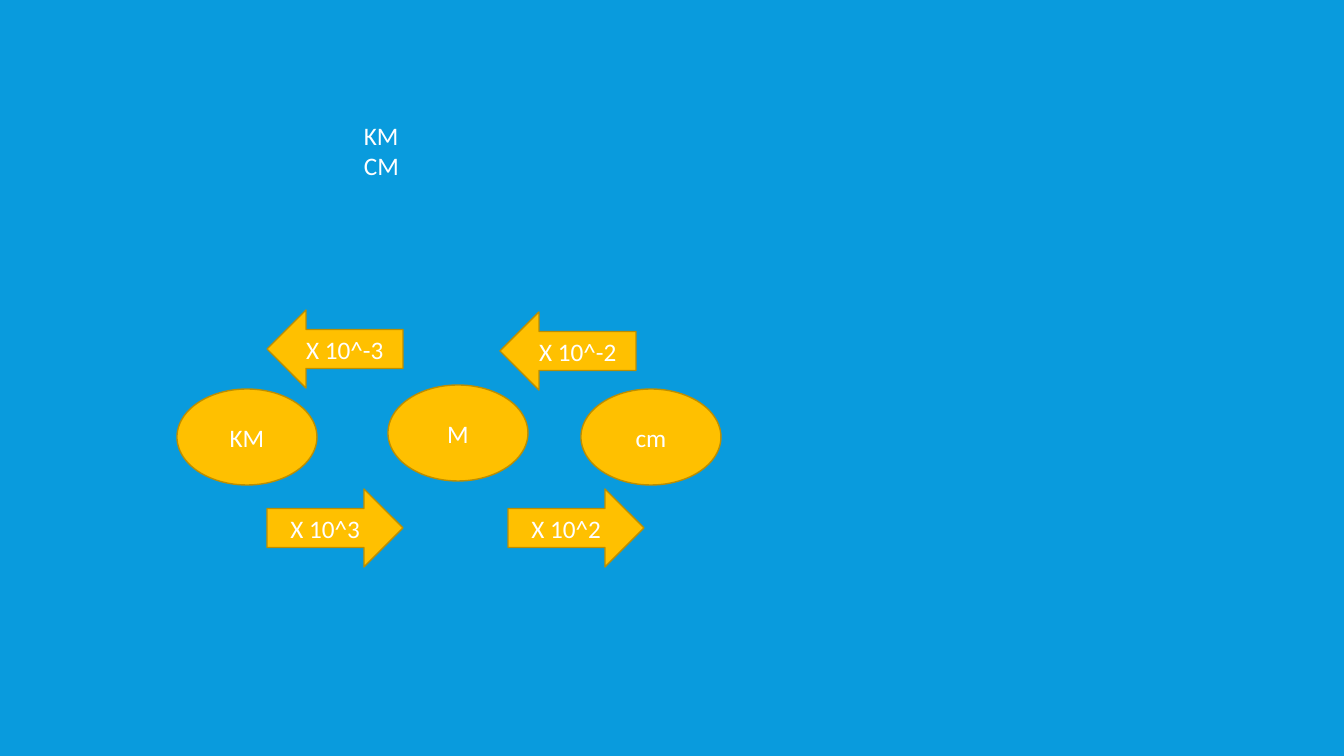
import pptx
import pptx.util
import pptx.dml.color
import pptx.enum.shapes
import pptx.enum.text

HUES = {"back": "099BDD", "fill": "FFC000", "edge": "BD8E00", "text": "FFFFFF"}
NOTE = ("KM\nCM", 354, 115, 533, 72)
KIND = pptx.enum.shapes.MSO_SHAPE
GROUPS = [
    (KIND.OVAL, (140, 96), [("KM", 177, 389), ("cm", 581, 389), ("M", 388, 385)]),
    (KIND.RIGHT_ARROW, (136, 78), [("X 10^3", 267, 489), ("X 10^2", 508, 489)]),
    (KIND.LEFT_ARROW, (136, 78), [("X 10^-3", 267, 310), ("X 10^-2", 500, 312)]),
]
SCALE = 914400 / 100.8


def px(*sizes):
    return [pptx.util.Emu(round(size * SCALE)) for size in sizes]


def hue(name):
    return pptx.dml.color.RGBColor.from_string(HUES[name])


def write(shape, text, align):
    frame = shape.text_frame
    frame.word_wrap = True
    frame.text = text
    for line in frame.paragraphs:
        line.alignment = align
        for run in line.runs:
            run.font.name = "Calibri"
            run.font.size = pptx.util.Pt(18)
            run.font.color.rgb = hue("text")


def draw(slide, kind, size, text, left, top):
    shape = slide.shapes.add_shape(kind, *px(left, top, *size))
    shape.shadow.inherit = False
    shape.fill.solid()
    shape.fill.fore_color.rgb = hue("fill")
    shape.line.color.rgb = hue("edge")
    shape.line.width = pptx.util.Pt(1)
    shape.text_frame.vertical_anchor = pptx.enum.text.MSO_ANCHOR.MIDDLE
    write(shape, text, pptx.enum.text.PP_ALIGN.CENTER)


def main():
    deck = pptx.Presentation()
    deck.slide_width, deck.slide_height = px(1344, 756)
    slide = deck.slides.add_slide(deck.slide_layouts[6])
    slide.background.fill.solid()
    slide.background.fill.fore_color.rgb = hue("back")
    text, *place = NOTE
    note = slide.shapes.add_textbox(*px(*place))
    write(note, text, pptx.enum.text.PP_ALIGN.LEFT)
    for kind, size, items in GROUPS:
        for item in items:
            draw(slide, kind, size, *item)
    deck.save("out.pptx")


if __name__ == "__main__":
    main()
